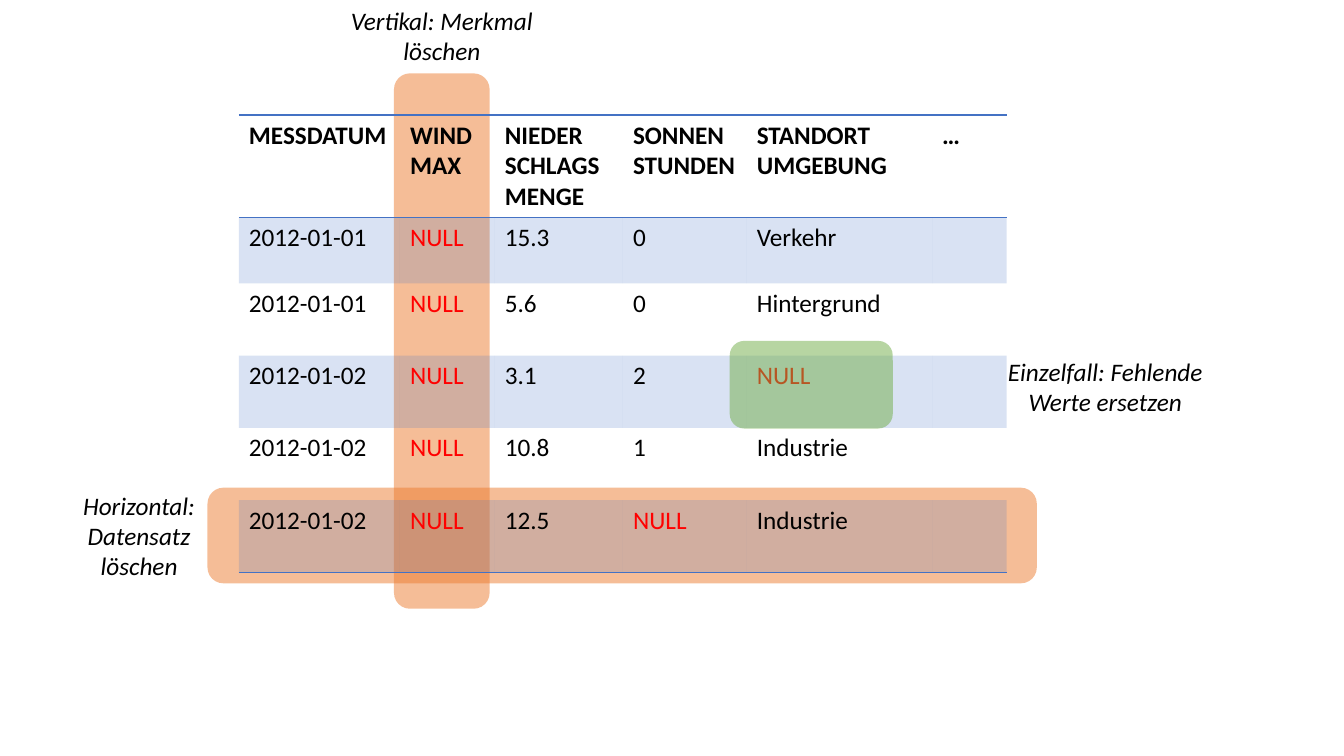
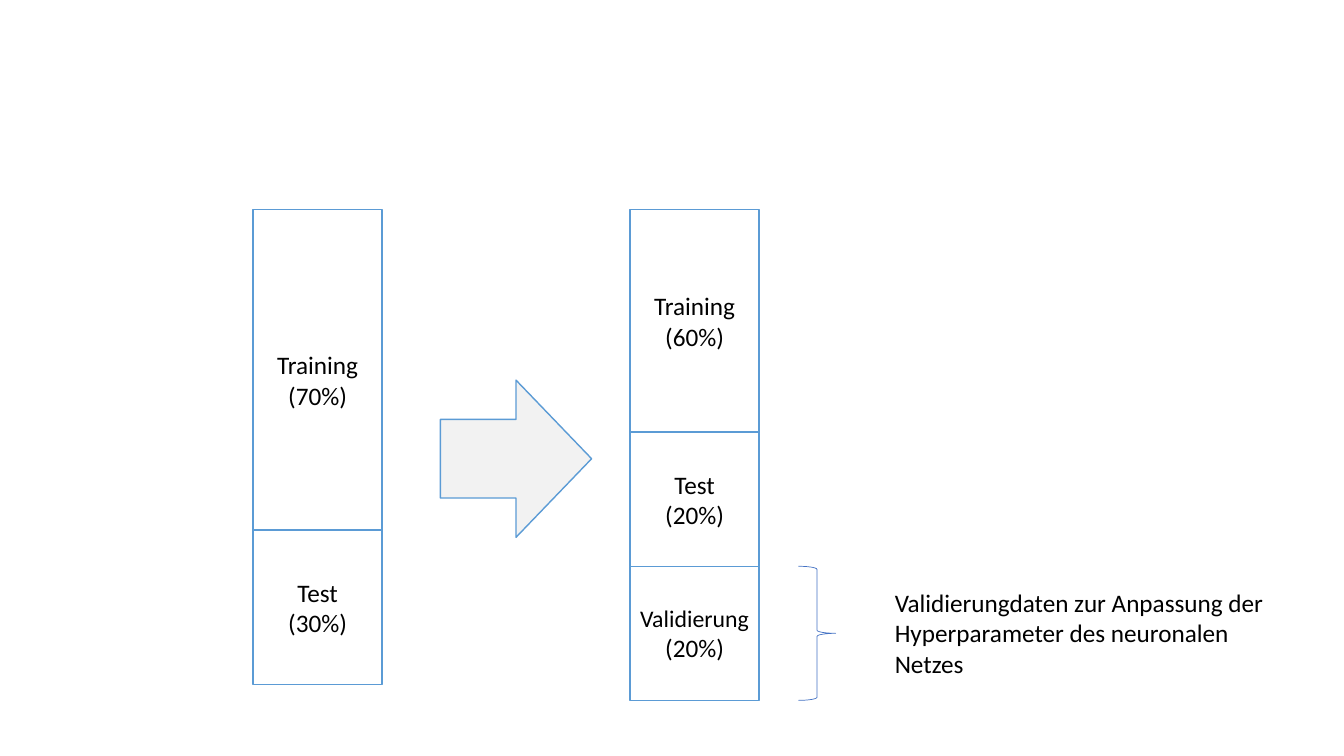
from lxml import etree
from pptx import Presentation
from pptx.dml.color import RGBColor
from pptx.enum.shapes import MSO_SHAPE
from pptx.enum.text import MSO_ANCHOR, PP_ALIGN
from pptx.oxml.ns import qn
from pptx.util import Cm, Pt

RECTANGLE = MSO_SHAPE.RECTANGLE
ROUNDED = MSO_SHAPE.ROUNDED_RECTANGLE
ARROW = MSO_SHAPE.RIGHT_ARROW
BRACE = MSO_SHAPE.RIGHT_BRACE
CENTER = PP_ALIGN.CENTER
LEFT = PP_ALIGN.LEFT
MIDDLE = MSO_ANCHOR.MIDDLE

BLACK, WHITE, RED, GREY = "000000", "FFFFFF", "FF0000", "F2F2F2"
ORANGE, GREEN, BLUE, SKY = "ED7D31", "70AD47", "4472C4", "5B9BD5"
PLAIN_TABLE = "{2D5ABB26-0587-4C30-8999-92F81FD0307C}"
MISSING = "NULL"

HEADER = ["MESSDATUM", "WIND MAX", "NIEDER SCHLAGS MENGE",
          "SONNEN STUNDEN", "STANDORT UMGEBUNG", "…"]
READINGS = [
    ["2012-01-01", MISSING, "15.3", "0", "Verkehr", ""],
    ["2012-01-01", MISSING, "5.6", "0", "Hintergrund", ""],
    ["2012-01-02", MISSING, "3.1", "2", MISSING, ""],
    ["2012-01-02", MISSING, "10.8", "1", "Industrie", ""],
    ["2012-01-02", MISSING, "12.5", MISSING, "Industrie", ""],
]
COLUMN_WIDTHS = [4.06, 2.39, 3.23, 3.12, 4.67, 1.88]
ROW_HEIGHTS = [2.59, 1.65] + [1.82] * 4


def rgb(color):
    """Turn a hex string into a colour."""
    return RGBColor.from_string(color)


class Deck:
    """Holds the shared style and the current slide."""

    font_name = "Calibri"
    size = 18

    def __init__(self):
        self.presentation = Presentation()
        self.presentation.slide_width = Cm(33.87)
        self.presentation.slide_height = Cm(19.05)
        self.slide = None

    def new_slide(self):
        """Start an empty slide."""
        self.slide = self.presentation.slides.add_slide(self.presentation.slide_layouts[6])

    def style(self, paragraph, size=size, color=BLACK, bold=False, italic=False):
        """Give a paragraph the deck's font."""
        font = paragraph.font
        font.name, font.size = self.font_name, Pt(size)
        font.bold, font.italic = bold, italic
        font.color.rgb = rgb(color)

    def paint(self, fill, color, opacity=100):
        """Fill solidly, or not at all without a colour."""
        if color is None:
            fill.background()
            return
        fill.solid()
        fill.fore_color.rgb = rgb(color)

    def fade(self, element, opacity):
        """Make the solid fill directly inside an element translucent."""
        color = element.find(qn("a:solidFill"))[0]
        etree.SubElement(color, qn("a:alpha"), val=str(opacity * 1000))

    def shape(self, kind, left, top, width, height, fill=None, line=None, weight=1):
        """Add a preset shape without a shadow."""
        shape = self.slide.shapes.add_shape(kind, Cm(left), Cm(top), Cm(width), Cm(height))
        shape.shadow.inherit = False
        self.paint(shape.fill, fill)
        self.paint(shape.line.fill, line)
        if line:
            shape.line.width = Pt(weight)
        return shape

    def highlight(self, left, top, width, height, color):
        """Add a half transparent rounded marker."""
        marker = self.shape(ROUNDED, left, top, width, height, color)
        self.fade(marker._element.spPr, 50)

    def share(self, left, top, width, height, label, percent, label_size=size):
        """Add one labelled part of a data split."""
        part = self.shape(RECTANGLE, left, top, width, height, WHITE, SKY)
        frame = part.text_frame
        frame.margin_left = frame.margin_right = Cm(0.1)
        frame.vertical_anchor = MIDDLE
        frame.text = f"{label}\n({percent}%)"
        for paragraph, size in zip(frame.paragraphs, (label_size, self.size)):
            paragraph.alignment = CENTER
            self.style(paragraph, size)

    def note(self, left, top, width, height, text, align=CENTER, italic=True):
        """Add a wrapped remark."""
        frame = self.slide.shapes.add_textbox(
            Cm(left), Cm(top), Cm(width), Cm(height)).text_frame
        frame.word_wrap = True
        frame.text = text
        frame.paragraphs[0].alignment = align
        self.style(frame.paragraphs[0], italic=italic)

    def border(self, cell, side):
        """Draw a thin blue rule on one side of a cell."""
        rule = etree.Element(qn(f"a:{side}"), w=str(Pt(1)))
        solid = etree.SubElement(rule, qn("a:solidFill"))
        etree.SubElement(solid, qn("a:srgbClr"), val=BLUE)
        cell._tc.get_or_add_tcPr().insert(0, rule)

    def table(self, left, top, widths, heights, rows):
        """Add a table with ruled header and translucent bands."""
        table = self.slide.shapes.add_table(
            len(rows), len(widths), Cm(left), Cm(top),
            Cm(sum(widths)), Cm(sum(heights))).table
        table._tbl.tblPr.find(qn("a:tableStyleId")).text = PLAIN_TABLE
        for column, width in zip(table.columns, widths):
            column.width = Cm(width)
        for number, (row, height, texts) in enumerate(zip(table.rows, heights, rows)):
            row.height = Cm(height)
            banded = number % 2 == 1
            for cell, text in zip(row.cells, texts):
                cell.text = text
                self.style(cell.text_frame.paragraphs[0], bold=number == 0,
                           color=RED if text == MISSING else BLACK)
                self.paint(cell.fill, BLUE if banded else None)
                if banded:
                    self.fade(cell._tc.tcPr, 20)
                if number in (0, len(rows) - 1):
                    self.border(cell, "lnB")
                if number == 0:
                    self.border(cell, "lnT")


def missing_values(deck):
    """Show the ways of treating missing values."""
    deck.new_slide()
    deck.highlight(9.93, 1.85, 2.41, 13.49, ORANGE)
    deck.highlight(5.23, 12.29, 20.9, 2.41, ORANGE)
    deck.table(6.02, 2.9, COLUMN_WIDTHS, ROW_HEIGHTS, [HEADER] + READINGS)
    deck.highlight(18.39, 8.59, 4.11, 2.21, GREEN)
    deck.note(0.99, 12.22, 5.03, 2.57, "Horizontal: Datensatz löschen")
    deck.note(8.05, 0, 6.17, 1.8, "Vertikal: Merkmal löschen")
    deck.note(24.77, 8.86, 6.17, 1.8, "Einzelfall: Fehlende Werte ersetzen")


def data_split(deck):
    """Show the split with and without validation data."""
    deck.new_slide()
    top, width = 5.28, 3.25
    validation_top, validation_height = 14.27, 3.38
    shares = [("Training", 60, 5.61, 18), ("Test", 20, validation_height, 18),
              ("Validierung", 20, validation_height, 17)]
    share_top = top
    for label, percent, height, size in shares:
        deck.share(15.88, share_top, width, height, label, percent, size)
        share_top += height
    deck.shape(BRACE, 20.12, validation_top, 0.94, validation_height, line=BLUE, weight=0.5)
    deck.note(22.3, 14.68, 10.26, 2.57,
              "Validierungdaten zur Anpassung der Hyperparameter des neuronalen Netzes",
              LEFT, italic=False)
    deck.share(6.38, top, width, 8.59, "Training", 70)
    deck.share(6.38, 13.36, width, 3.89, "Test", 30)
    deck.shape(ARROW, 11.1, 9.58, 3.81, 3.96, GREY, SKY)


def main():
    """Build and save the deck."""
    deck = Deck()
    missing_values(deck)
    data_split(deck)
    deck.presentation.save("out.pptx")


if __name__ == "__main__":
    main()
